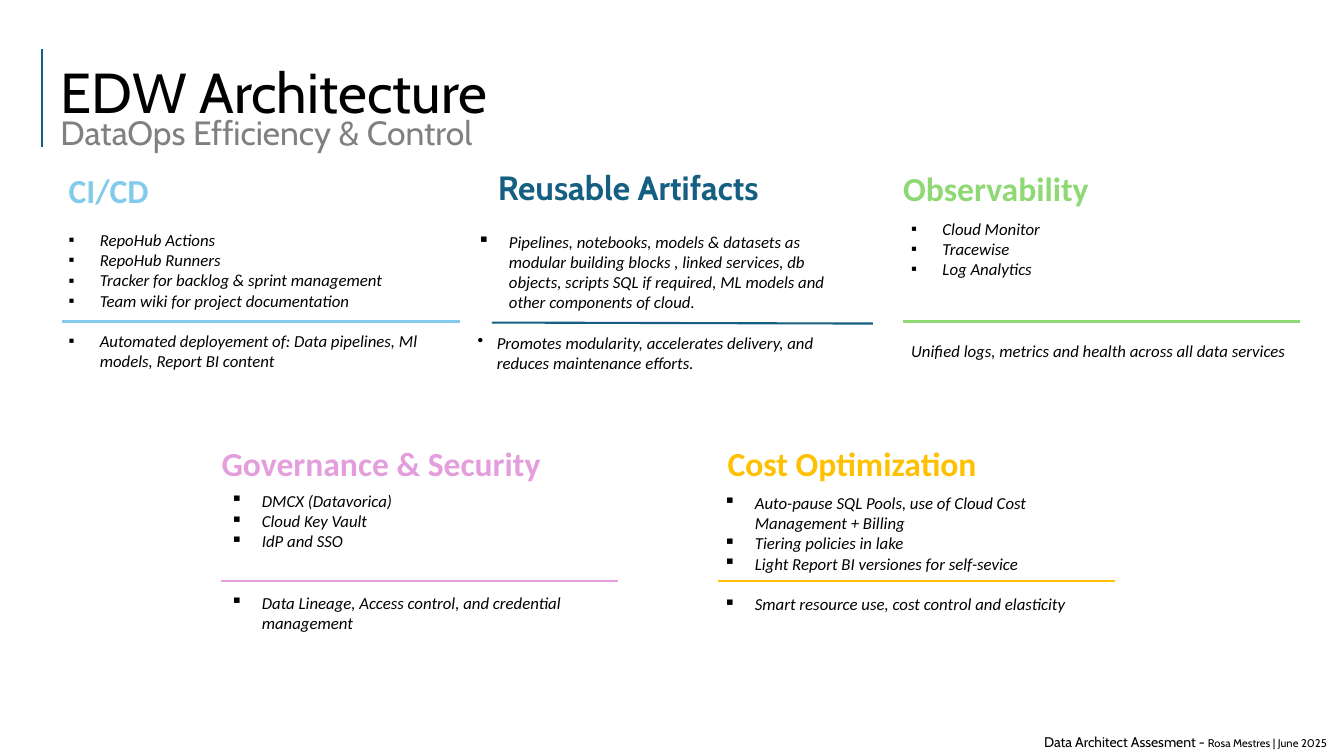
import pptx
import pptx.dml.color
import pptx.enum.shapes
import pptx.enum.text
import pptx.oxml.ns
import pptx.util
from lxml import etree

COLORS = {
    "black": "000000", "white": "FFFFFF", "gray": "808080", "navy": "156082",
    "sky": "83CBEB", "green": "8ED973", "pink": "E59EDD", "gold": "FFC000",
}

# Grid: 100 columns by 100 rows
WIDTH, HEIGHT = pptx.util.Inches(13.33), pptx.util.Inches(7.5)
COLUMN, ROW = WIDTH / 100, HEIGHT / 100
HEADING_SIZE = (30.15, 6.67)
LIST_SIZE = (29.55, 22.93)
LIST_LINE = 14.65  # height of one list line in points

# Hanging indents in inches for each bullet
INDENTS = {"▪": 0.31, "•": 0.19, None: 0}

# Each section: heading, list and rule positions, tools, and the outcome below
SECTIONS = [
    dict(heading="CI/CD", color="sky", font="Calibri",
         heading_at=(4.35, 21.87), list_at=(4.35, 29.73),
         rule=(4.65, 42.53, 34.2, 42.53),
         tools=["RepoHub Actions", "RepoHub Runners",
                "Tracker for backlog & sprint management",
                "Team wiki for project documentation"],
         outcome="Automated deployement of: Data pipelines, Ml models, "
                 "Report BI content", bullet="▪", gap=1),
    dict(heading="Observability", color="green", font="Calibri",
         heading_at=(66.45, 21.6), list_at=(67.05, 28.27),
         rule=(67.2, 42.53, 96.75, 42.53),
         tools=["Cloud Monitor", "Tracewise", "Log Analytics"],
         outcome="Unified logs, metrics and health across all data services",
         bullet=None, gap=3),
    dict(heading="Reusable Artifacts", color="navy", font="Cabin",
         heading_at=(36.3, 21.47), list_at=(34.8, 30),
         rule=(36.6, 42.67, 64.95, 42.8),
         tools=["Pipelines, notebooks, models & datasets as modular building "
                "blocks , linked services, db objects, scripts SQL if required, "
                "ML models and other components of cloud."],
         outcome="Promotes modularity, accelerates delivery, and reduces "
                 "maintenance efforts.", bullet="•", gap=1),
    dict(heading="Governance & Security", color="pink", font="Calibri",
         heading_at=(15.75, 57.87), list_at=(16.42, 64.27),
         rule=(16.42, 76.8, 45.97, 76.8),
         tools=["DMCX (Datavorica)", "Cloud Key Vault", "IdP and SSO"],
         outcome="Data Lineage, Access control, and credential management",
         bullet="▪", gap=2),
    dict(heading="Cost Optimization", color="gold", font="Calibri",
         heading_at=(53.4, 57.87), list_at=(53.1, 64.53),
         rule=(53.4, 76.8, 82.95, 76.8),
         tools=["Auto-pause SQL Pools, use of Cloud Cost Management + Billing",
                "Tiering policies in lake",
                "Light Report BI versiones for self-sevice"],
         outcome="Smart resource use, cost control and elasticity",
         bullet="▪", gap=1),
]


def rgb(name):
    return pptx.dml.color.RGBColor.from_string(COLORS[name])


def place(box, at, size, anchor="TOP"):
    """Position a text holder on the grid and reset its text frame."""
    box.left, box.top = int(at[0] * COLUMN), int(at[1] * ROW)
    box.width, box.height = int(size[0] * COLUMN), int(size[1] * ROW)
    frame = box.text_frame
    frame.word_wrap = True
    frame.auto_size = pptx.enum.text.MSO_AUTO_SIZE.NONE
    frame.vertical_anchor = getattr(pptx.enum.text.MSO_ANCHOR, anchor)
    return frame


def add_para(frame, first, spacing=1.0, before=0, bullet=None):
    para = frame.paragraphs[0] if first else frame.add_paragraph()
    para.alignment = pptx.enum.text.PP_ALIGN.LEFT
    para.line_spacing = spacing
    para.space_before = pptx.util.Pt(before)
    para.space_after = pptx.util.Pt(0)
    # Bullet and hanging indent
    properties = para._p.get_or_add_pPr()
    indent = pptx.util.Inches(INDENTS[bullet])
    properties.set("marL", str(indent))
    properties.set("indent", str(-indent))
    mark = etree.SubElement(
        properties, pptx.oxml.ns.qn("a:buChar" if bullet else "a:buNone"))
    if bullet:
        mark.set("char", bullet)
    return para


def add_span(para, text, size, font, color="black", bold=False, italic=False):
    span = para.add_run()
    span.text = text
    span.font.size = pptx.util.Pt(size)
    span.font.name = font
    span.font.color.rgb = rgb(color)
    span.font.bold, span.font.italic = bold, italic


def add_rule(slide, ends, color):
    x1, y1, x2, y2 = ends
    rule = slide.shapes.add_connector(
        pptx.enum.shapes.MSO_CONNECTOR.STRAIGHT,
        int(x1 * COLUMN), int(y1 * ROW), int(x2 * COLUMN), int(y2 * ROW))
    rule.line.color.rgb = rgb(color)
    rule.line.width = pptx.util.Pt(1.5)
    etree.SubElement(rule._element.spPr, pptx.oxml.ns.qn("a:effectLst"))


def add_title(slide):
    frame = place(slide.shapes.title, (3.75, 8.53), (93.6, 12.93), "MIDDLE")
    add_span(add_para(frame, True, 0.7), "EDW Architecture", 40.2, "Cabin")
    add_span(add_para(frame, False, 0.7), "DataOps Efficiency & Control",
             24, "Cabin", "gray")
    add_rule(slide, (3.15, 6.53, 3.15, 19.47), "navy")


def add_section(slide, section, holders):
    """Fill the layout's body holders while they last, then text boxes."""
    heading_box, list_box = [
        holders.pop(0) if holders else slide.shapes.add_textbox(0, 0, 0, 0)
        for _ in range(2)]

    frame = place(heading_box, section["heading_at"], HEADING_SIZE)
    add_span(add_para(frame, True), section["heading"], 24, section["font"],
             section["color"], bold=True)

    frame = place(list_box, section["list_at"], LIST_SIZE)
    list_box.fill.solid()
    list_box.fill.fore_color.rgb = rgb("white")
    for index, tool in enumerate(section["tools"]):
        para = add_para(frame, index == 0, bullet="▪")
        add_span(para, tool, 12, "Calibri", italic=True)
    para = add_para(frame, False, before=section["gap"] * LIST_LINE,
                    bullet=section["bullet"])
    add_span(para, section["outcome"], 12, "Calibri", italic=True)

    add_rule(slide, section["rule"], section["color"])


def add_footer(slide):
    box = slide.shapes.add_textbox(0, 0, 0, 0)
    para = add_para(place(box, (76.95, 96.4), (23.03, 3.6)), True)
    add_span(para, "Data Architect Assesment - ", 10, "Cabin")
    add_span(para, "Rosa Mestres | June 2025", 8, "Cabin")


def main():
    deck = pptx.Presentation()
    deck.slide_width, deck.slide_height = WIDTH, HEIGHT
    # Comparison layout: a title and two heading-and-list pairs
    slide = deck.slides.add_slide(deck.slide_layouts.get_by_name("Comparison"))
    holders = [slide.placeholders[index] for index in (1, 2, 3, 4)]
    add_title(slide)
    for section in SECTIONS:
        add_section(slide, section, holders)
    add_footer(slide)
    deck.save("out.pptx")


if __name__ == "__main__":
    main()
